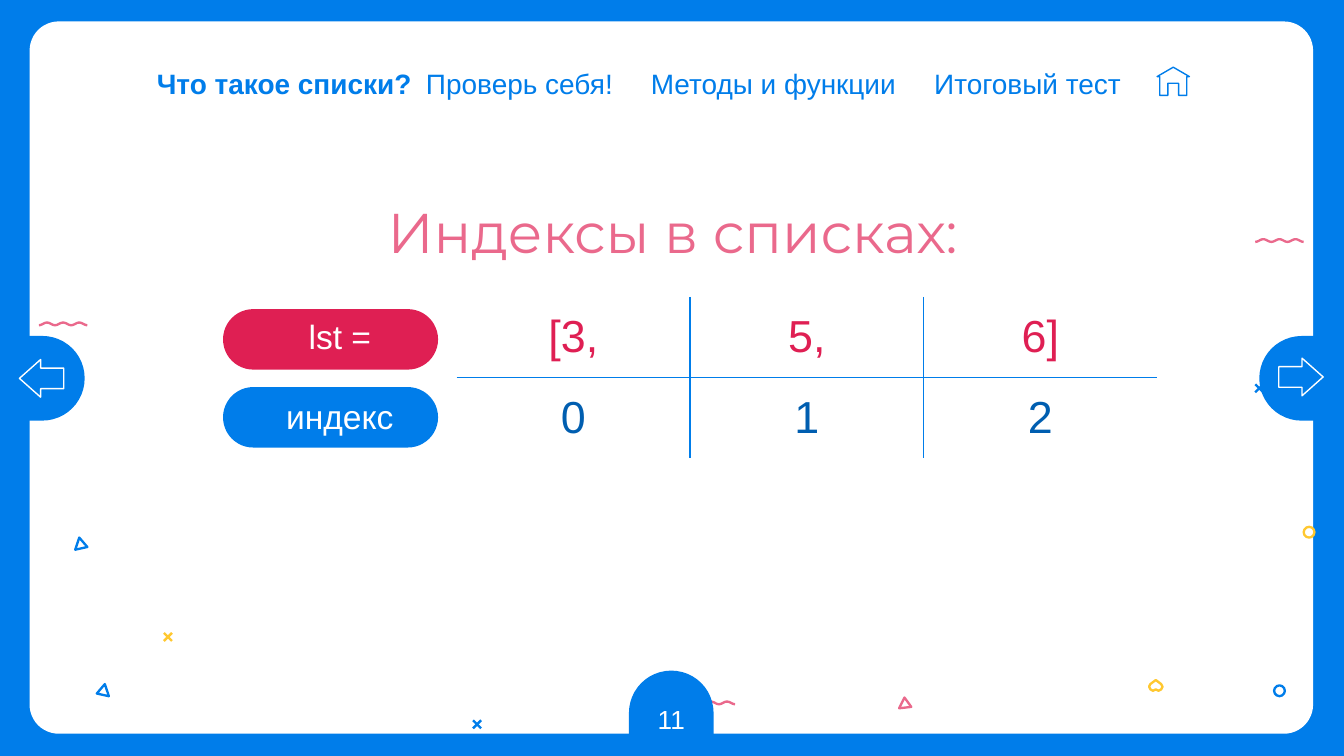
import math

import lxml.etree
import pptx
import pptx.dml.color
import pptx.enum.shapes
import pptx.enum.text
import pptx.oxml.ns
import pptx.util

Inches = pptx.util.Inches
Pt = pptx.util.Pt
SHAPES = pptx.enum.shapes.MSO_SHAPE
ANCHORS = pptx.enum.text.MSO_ANCHOR
qn = pptx.oxml.ns.qn

COLORS = {"blue": "007DEA", "navy": "005EB0", "red": "DF1F53",
          "pink": "EA698C", "yellow": "FFC830", "white": "FFFFFF"}
NO_STYLE_TABLE = "{2D5ABB26-0587-4C30-8999-92F81FD0307C}"

TITLE = "Индексы в списках:"
PAGE_NUMBER = "11"
NAVIGATION = [  # text, left, width, bold
    ("Что такое списки?", 1.04, 2.15, True),
    ("Проверь себя!", 2.91, 1.91, False),
    ("Методы и функции", 4.68, 2.15, False),
    ("Итоговый тест", 6.57, 2.15, False),
]
ROWS = [("lst =", "[3,", "5,", "6]"), ("индекс", "0", "1", "2")]
VALUE_COLORS = ["red", "navy"]
TABLE_BOX = (1.66, 2.21, 6.95, 1.2)
PILL_LEFT, PILL_STEP = 1.66, 1.74

CROSSES = [(9.34, 2.86, "blue"), (3.52, 5.36, "blue"), (1.22, 4.71, "yellow")]
RINGS = [(9.7, 3.92, "yellow"), (9.48, 5.1, "blue")]
WAVES = [(9.34, 1.79), (0.29, 2.41), (5.11, 5.23)]
OUTLINES = [  # colour, corners
    ("blue", [(0.72, 5.16), (0.78, 5.09), (0.81, 5.18)]),
    ("blue", [(0.56, 4.09), (0.59, 4), (0.65, 4.07)]),
    ("pink", [(6.69, 5.27), (6.73, 5.19), (6.78, 5.26)]),
    ("yellow", [(8.6, 5.06), (8.64, 5.09), (8.65, 5.11), (8.64, 5.13), (8.62, 5.14),
                (8.6, 5.13), (8.58, 5.14), (8.56, 5.13), (8.55, 5.11), (8.56, 5.09)]),
]
HOME = [(8.73, 0.5), (8.61, 0.57), (8.63, 0.57), (8.63, 0.71), (8.69, 0.71), (8.69, 0.62),
        (8.77, 0.62), (8.77, 0.71), (8.83, 0.71), (8.83, 0.57), (8.85, 0.57)]
TABS = [(0, 2.5, 90), (9.37, 2.5, 270), (4.68, 4.99, 0)]  # left, top, rotation
ARROWS = [(0.17, 2.65, 270), (9.54, 2.64, 90)]


def rgb(name):
    return pptx.dml.color.RGBColor.from_string(COLORS[name])


def paint(shape, fill=None, line=None, width=0.75):
    shape.shadow.inherit = False
    if fill:
        shape.fill.solid()
        shape.fill.fore_color.rgb = rgb(fill)
    else:
        shape.fill.background()
    if line:
        shape.line.color.rgb = rgb(line)
        shape.line.width = Pt(width)
    else:
        shape.line.fill.background()


def add_preset(slide, kind, box, adjustments=(), rotation=0, **style):
    shape = slide.shapes.add_shape(kind, *map(Inches, box))
    for index, value in enumerate(adjustments):
        shape.adjustments[index] = value
    shape.rotation = rotation
    paint(shape, **style)
    return shape


def add_path(slide, points, color, width=1.25, closed=True):
    corners = [(Inches(x), Inches(y)) for x, y in points]
    builder = slide.shapes.build_freeform(*corners[0])
    builder.add_line_segments(corners[1:], close=closed)
    paint(builder.convert_to_shape(), line=color, width=width)


def write(frame, text, color, size, name="Arial", bold=False):
    paragraph = frame.paragraphs[0]
    paragraph.alignment = pptx.enum.text.PP_ALIGN.CENTER
    run = paragraph.add_run()
    run.text = text
    for key, value in {"size": Pt(size), "name": name, "bold": bold}.items():
        setattr(run.font, key, value)
    run.font.color.rgb = rgb(color)


def set_frame(target, anchor):
    """Give a text frame or a table cell even insets and an anchor."""
    for side in ("left", "right", "top", "bottom"):
        setattr(target, f"margin_{side}", Inches(0.1))
    target.vertical_anchor = anchor


def add_text(slide, box, anchor, *text, **font):
    frame = slide.shapes.add_textbox(*map(Inches, box)).text_frame
    frame.word_wrap = True
    set_frame(frame, anchor)
    write(frame, *text, **font)


def set_borders(cell, sides):
    """Draw blue borders on the given sides, hide the rest."""
    properties = cell._tc.get_or_add_tcPr()
    for index, side in enumerate("LRTB"):
        line = lxml.etree.Element(qn(f"a:ln{side}"), w=str(Pt(1)))
        if side in sides:
            fill = lxml.etree.SubElement(line, qn("a:solidFill"))
            lxml.etree.SubElement(fill, qn("a:srgbClr"), val=COLORS["blue"])
        else:
            lxml.etree.SubElement(line, qn("a:noFill"))
        properties.insert(index, line)


def add_decorations(slide):
    for left, top, color in CROSSES:
        right, bottom = left + 0.06, top + 0.06
        add_path(slide, [(left, top), (right, bottom)], color, closed=False)
        add_path(slide, [(left, bottom), (right, top)], color, closed=False)
    for left, top, color in RINGS:
        add_preset(slide, SHAPES.OVAL, (left, top, 0.08, 0.08), line=color, width=1.25)
    for color, corners in OUTLINES:
        add_path(slide, corners, color)
    for left, middle in WAVES:
        points = [(left + 0.01 * step, middle + 0.01 * math.cos(math.pi * step / 6))
                  for step in range(37)]
        add_path(slide, points, "pink", closed=False)


def add_index_table(slide):
    pill = {"kind": SHAPES.ROUNDED_RECTANGLE, "adjustments": [0.5]}
    for column in range(1, 4):
        left = PILL_LEFT + column * PILL_STEP
        add_preset(slide, box=(left, 2.28, 1.6, 0.45), fill="white", **pill)
    for top, color in ((2.88, "blue"), (2.3, "red")):
        add_preset(slide, box=(PILL_LEFT, top, 1.6, 0.45), fill=color, **pill)

    table = slide.shapes.add_table(2, 4, *map(Inches, TABLE_BOX)).table
    table.first_row = table.horz_banding = False
    table._tbl.tblPr.find(qn("a:tableStyleId")).text = NO_STYLE_TABLE
    for row, texts in enumerate(ROWS):
        for column, text in enumerate(texts):
            cell = table.cell(row, column)
            cell.fill.background()
            set_frame(cell, ANCHORS.MIDDLE)
            if column == 0:
                write(cell.text_frame, text, "white", 18)
                sides = ""
            else:
                write(cell.text_frame, text, VALUE_COLORS[row], 24)
                sides = "BT"[row] + ("L" if column > 1 else "") + ("R" if column < 3 else "")
            set_borders(cell, sides)


def add_controls(slide):
    for left, top, rotation in TABS:
        tab = add_preset(slide, SHAPES.ROUND_2_SAME_RECTANGLE, (left, top, 0.63, 0.63),
                         [0.5, 0], rotation, fill="blue")
    set_frame(tab.text_frame, ANCHORS.MIDDLE)
    write(tab.text_frame, PAGE_NUMBER, "white", 14)
    for left, top, rotation in ARROWS:
        add_preset(slide, SHAPES.UP_ARROW, (left, top, 0.28, 0.33),
                   [0.545, 0.564], rotation, fill="blue", line="white")
    for text, left, width, bold in NAVIGATION:
        add_text(slide, (left, 0.49, width, 0.26), ANCHORS.MIDDLE, text, "blue", 15, bold=bold)
    add_path(slide, HOME, "blue", width=0.75)


def main():
    presentation = pptx.Presentation()
    presentation.slide_width = Inches(10)
    presentation.slide_height = Inches(10) * 9 // 16
    slide = presentation.slides.add_slide(presentation.slide_layouts[6])
    slide.background.fill.solid()
    slide.background.fill.fore_color.rgb = rgb("blue")
    add_preset(slide, SHAPES.ROUNDED_RECTANGLE, (0.22, 0.16, 9.55, 5.3), [0.041], fill="white")
    add_decorations(slide)
    add_index_table(slide)
    add_text(slide, (0.79, 1.37, 8.43, 0.63), ANCHORS.TOP, TITLE, "pink", 30, name="Montserrat")
    add_controls(slide)
    presentation.save("out.pptx")


if __name__ == "__main__":
    main()
